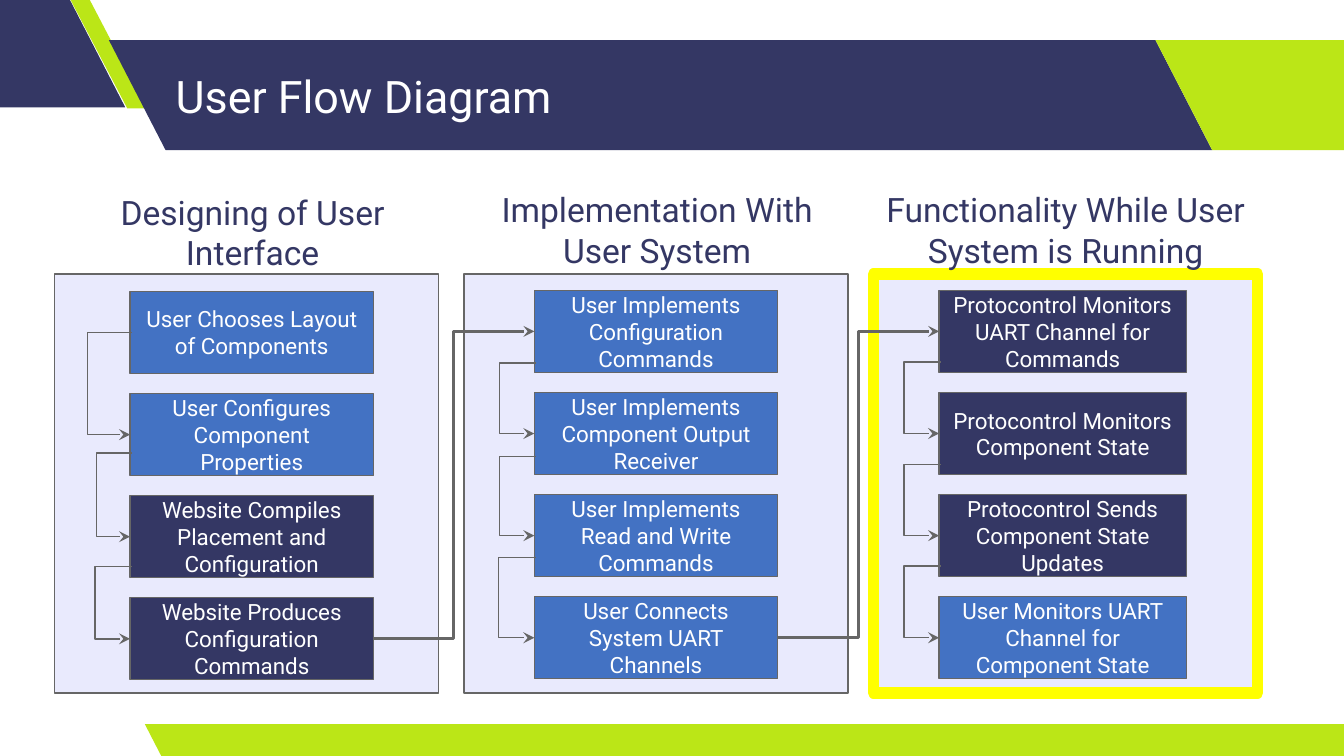
from lxml.etree import SubElement
from pptx import Presentation
from pptx.dml.color import RGBColor
from pptx.enum.shapes import MSO_CONNECTOR as Connector, MSO_SHAPE as Shape
from pptx.enum.text import MSO_ANCHOR as Anchor, MSO_AUTO_SIZE as AutoSize, PP_ALIGN as Align
from pptx.oxml.ns import qn
from pptx.util import Cm, Pt

COLORS = {"navy": "343764", "lime": "BBE617", "blue": "4372C3", "panel": "E9EAFD",
          "gray": "666666", "yellow": "FFFF00", "white": "FFFFFF"}


def write(shape, text, size, color, align, anchor):
    frame = shape.text_frame
    frame.text = text
    frame.word_wrap = True
    frame.auto_size = AutoSize.NONE
    frame.vertical_anchor = anchor
    frame.margin_left = frame.margin_right = Cm(0.25)
    frame.margin_top = frame.margin_bottom = Cm(0.25)
    para = frame.paragraphs[0]
    para.alignment = align
    font = para.runs[0].font
    font.name, font.size = "Roboto", Pt(size)
    font.color.rgb = RGBColor.from_string(COLORS[color])


def add_block(kind, left, top, width, height, fill, line=None, weight=0.75):
    shape = page.shapes.add_shape(kind, Cm(left), Cm(top), Cm(width), Cm(height))
    shape.shadow.inherit = False
    shape.fill.solid()
    shape.fill.fore_color.rgb = RGBColor.from_string(COLORS[fill])
    if line:
        shape.line.color.rgb = RGBColor.from_string(COLORS[line])
        shape.line.width = Pt(weight)
    else:
        shape.line.fill.background()
    return shape


deck = Presentation()
deck.slide_width, deck.slide_height = Cm(25.4), Cm(14.29)
page = deck.slides.add_slide(deck.slide_layouts[5])

# Slanted bands: left, top, width, height, slant, fill
bands = [
    (-2.51, -0.05, 4.88, 2.08, 0.515, "navy"),
    (1.32, -0.03, 1.45, 2.08, 0.75, "lime"),
    (2.06, 0.76, 20.85, 2.08, 0.515, "navy"),
    (21.84, 0.76, 4.88, 2.08, 0.515, "lime"),
    (2.74, 13.69, 23.24, 0.64, 0.515, "lime"),
]
for left, top, width, height, slant, fill in bands:
    band = add_block(Shape.PARALLELOGRAM, left, top, width, height, fill)
    band.adjustments[0] = slant
    band._element.spPr.find(qn("a:xfrm")).set("flipH", "1")

# Title, in front of the bands
title = page.shapes.title
title.left, title.top, title.width, title.height = Cm(3.07), Cm(0.76), Cm(18.67), Cm(2.08)
write(title, "User Flow Diagram", 24, "white", Align.LEFT, Anchor.MIDDLE)
band._element.addnext(title._element)

# Columns: steps run downwards; exits are arrow starts below the top of each step
BOX_HEIGHT, BOX_STEP = 1.55, 1.93
PANEL_LEFT, PANEL_STEP = 1.03, 7.74
columns = [
    {"heading": "Designing of User Interface", "heading_at": (0.76, 3.38, 8.03, 1.55),
     "left": 2.46, "top": 5.51, "width": 4.6, "border": ("gray", 0.75),
     "exits": (0.77, 1.12, 1.34), "bends": (0.8, 0.64, 0.66),
     "steps": [("User Chooses Layout of Components", "blue"),
               ("User Configures Component Properties", "blue"),
               ("Website Compiles Placement and Configuration", "navy"),
               ("Website Produces Configuration Commands", "navy")]},
    {"heading": "Implementation With User System", "heading_at": (8.51, 3.33, 7.82, 1.6),
     "left": 10.1, "top": 5.49, "width": 4.6, "border": ("gray", 0.75),
     "exits": (1.37, 1.21, 1.19), "bends": (0.66, 0.66, 0.68),
     "steps": [("User Implements Configuration Commands", "blue"),
               ("User Implements Component Output Receiver", "blue"),
               ("User Implements Read and Write Commands", "blue"),
               ("User Connects System UART Channels", "blue")]},
    {"heading": "Functionality While User System is Running",
     "heading_at": (16.23, 3.33, 7.82, 1.78),
     "left": 17.75, "top": 5.49, "width": 4.67, "border": ("yellow", 6),
     "exits": (1.35, 1.36, 1.35), "bends": (0.66, 0.66, 0.66),
     "steps": [("Protocontrol Monitors UART Channel for Commands", "navy"),
               ("Protocontrol Monitors Component State", "navy"),
               ("Protocontrol Sends Component State Updates", "navy"),
               ("User Monitors UART Channel for Component State", "blue")]},
]

# Panels and headings
for number, column in enumerate(columns):
    panel = add_block(Shape.RECTANGLE, PANEL_LEFT + number * PANEL_STEP, 5.18, 7.26, 7.92,
                      "panel", *column["border"])
    SubElement(panel.line._get_or_add_ln(), qn("a:round"))
    heading = page.shapes.add_textbox(*map(Cm, column["heading_at"]))
    write(heading, column["heading"], 18, "navy", Align.CENTER, Anchor.TOP)

# Step boxes
for column in columns:
    column["boxes"] = []
    for row, (text, fill) in enumerate(column["steps"]):
        box = add_block(Shape.RECTANGLE, column["left"], column["top"] + row * BOX_STEP,
                        column["width"], BOX_HEIGHT, fill, "gray")
        write(box, text, 12, "white", Align.CENTER, Anchor.MIDDLE)
        column["boxes"].append(box)

# Arrows: loops at the left of each column, then one arrow between neighbours
STUB = 0.03
arrows = []
for column in columns:
    for row, (drop, bend) in enumerate(zip(column["exits"], column["bends"])):
        top = column["top"] + row * BOX_STEP
        loop = page.shapes.add_connector(
            Connector.ELBOW, Cm(column["left"] + STUB), Cm(top + drop),
            Cm(column["left"]), Cm(top + BOX_STEP + BOX_HEIGHT / 2))
        guides = loop._element.spPr.find(qn("a:prstGeom")).get_or_add_avLst()
        ratio = round((bend + STUB) / STUB * 100000)
        SubElement(guides, qn("a:gd"), name="adj1", fmla=f"val {ratio}")
        arrows.append((loop, 0.75))
for source, target in zip(columns, columns[1:]):
    link = page.shapes.add_connector(Connector.ELBOW, 0, 0, 0, 0)
    link.begin_connect(source["boxes"][-1], 3)
    link.end_connect(target["boxes"][0], 1)
    arrows.append((link, 1.5))
for arrow, weight in arrows:
    arrow.line.color.rgb = RGBColor.from_string(COLORS["gray"])
    arrow.line.width = Pt(weight)
    SubElement(arrow.line._get_or_add_ln(), qn("a:tailEnd"), type="stealth")
    SubElement(arrow._element.spPr, qn("a:effectLst"))

deck.save("out.pptx")
